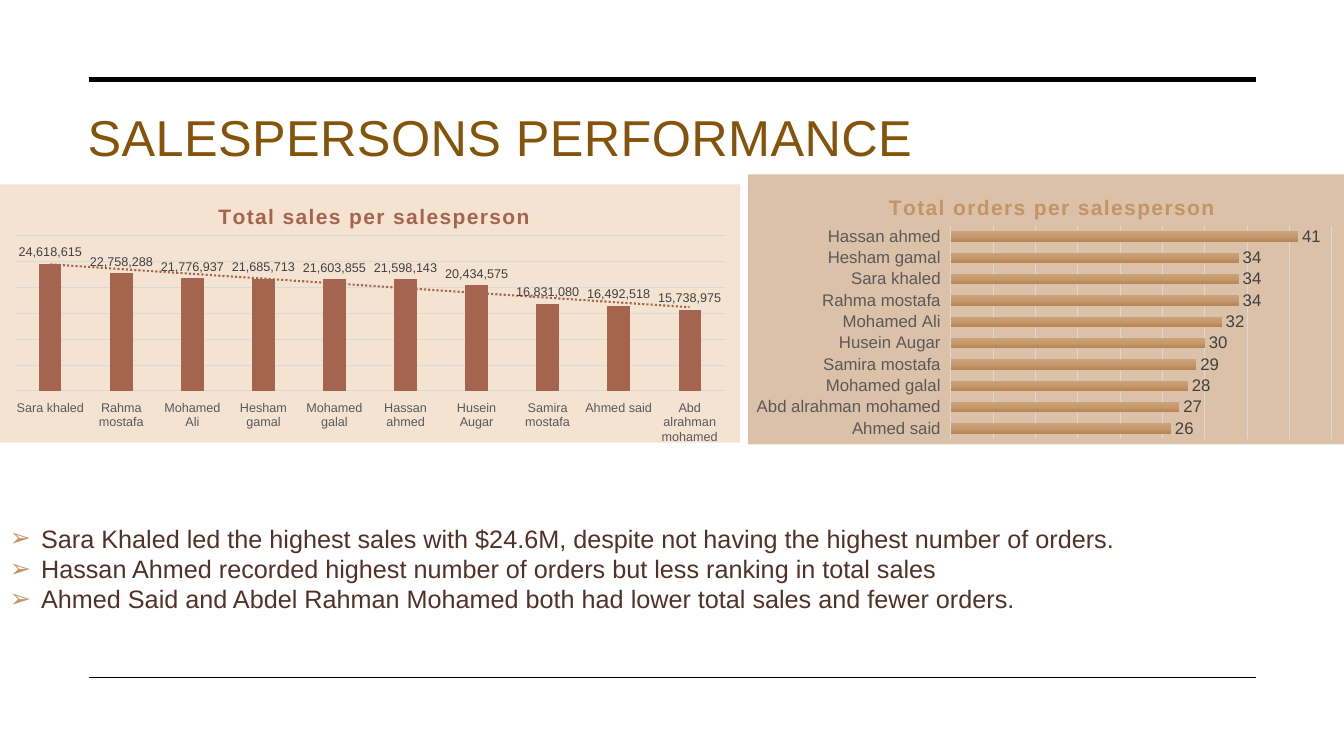
from lxml import etree
from pptx import Presentation
from pptx.chart.data import CategoryChartData
from pptx.dml.color import RGBColor
from pptx.enum.chart import XL_CHART_TYPE, XL_LABEL_POSITION, XL_TICK_LABEL_POSITION, XL_TICK_MARK
from pptx.enum.shapes import MSO_CONNECTOR
from pptx.enum.text import MSO_ANCHOR
from pptx.oxml import parse_xml
from pptx.oxml.ns import qn
from pptx.util import Inches, Pt

COLUMN = XL_CHART_TYPE.COLUMN_CLUSTERED
BAR = XL_CHART_TYPE.BAR_CLUSTERED
OUTSIDE_END = XL_LABEL_POSITION.OUTSIDE_END
LOW_LABELS = XL_TICK_LABEL_POSITION.LOW
NO_TICK = XL_TICK_MARK.NONE
STRAIGHT = MSO_CONNECTOR.STRAIGHT
TOP = MSO_ANCHOR.TOP

NAMESPACES = (
    'xmlns:a="http://schemas.openxmlformats.org/drawingml/2006/main" '
    'xmlns:c="http://schemas.openxmlformats.org/drawingml/2006/chart"'
)
FONT = "Arial"
GRID = "D9D9D9"
BROWN = "A5644E"
TAN = "C39465"
SALES = {
    "Sara khaled": 24618615, "Rahma mostafa": 22758288, "Mohamed Ali": 21776937,
    "Hesham gamal": 21685713, "Mohamed galal": 21603855, "Hassan ahmed": 21598143,
    "Husein Augar": 20434575, "Samira mostafa": 16831080, "Ahmed said": 16492518,
    "Abd alrahman mohamed": 15738975,
}
ORDERS = {
    "Ahmed said": 26, "Abd alrahman mohamed": 27, "Mohamed galal": 28,
    "Samira mostafa": 29, "Husein Augar": 30, "Mohamed Ali": 32,
    "Rahma mostafa": 34, "Sara khaled": 34, "Hesham gamal": 34, "Hassan ahmed": 41,
}
FINDINGS = [
    "Sara Khaled led the highest sales with $24.6M, despite not having the highest number of orders.",
    "Hassan Ahmed recorded highest number of orders but less ranking in total sales",
    "Ahmed Said and Abdel Rahman Mohamed both had lower total sales and fewer orders.",
]


def rgb(value):
    """Return a colour from a hex string."""
    return RGBColor.from_string(value)


def xml(markup):
    """Parse one drawing or chart element, adding its namespaces."""
    name, rest = markup[1:].split(">", 1)
    closing = "/" if name.endswith("/") else ""
    return parse_xml(f"<{name.rstrip('/')} {NAMESPACES}{closing}>{rest}")


def style_font(font, size, color, bold=False):
    """Set typeface, size, colour and weight."""
    font.name, font.size, font.bold = FONT, Pt(size), bold
    font.color.rgb = rgb(color)


def write(paragraph, text, *, size, color, bold=False, spacing=0):
    """Add a formatted run with letter spacing in points."""
    run = paragraph.add_run()
    run.text = text
    style_font(run.font, size, color, bold)
    if spacing:
        run.font._element.set("spc", str(round(spacing * 100)))


def add_text_box(slide, left, top, width, height):
    """Add a wrapping, top-anchored text box and return its frame."""
    shape = slide.shapes.add_textbox(Inches(left), Inches(top), Inches(width), Inches(height))
    shape.text_frame.word_wrap = True
    shape.text_frame.vertical_anchor = TOP
    return shape.text_frame


def add_rule(slide, y, weight):
    """Add a black horizontal rule."""
    line = slide.shapes.add_connector(STRAIGHT, Inches(0.88), Inches(y), Inches(12.46), Inches(y))
    line.line.color.rgb = rgb("000000")
    line.line.width = Pt(weight)
    etree.SubElement(line._element.spPr, qn("a:effectLst"))


def set_bullet(paragraph, color):
    """Give a paragraph a coloured arrow bullet and hanging indent."""
    properties = paragraph._p.get_or_add_pPr()
    indent = Inches(0.31)
    properties.set("marL", str(indent))
    properties.set("indent", str(-indent))
    properties.append(xml(f'<a:buClr><a:srgbClr val="{color}"/></a:buClr>'))
    properties.append(xml('<a:buFont typeface="Wingdings"/>'.replace("Wingdings", FONT)))
    properties.append(xml('<a:buChar char="➢"/>'))


def set_layout(parent, index, **fractions):
    """Place a chart part by fractions of the chart area."""
    for old in parent.findall(qn("c:layout")):
        parent.remove(old)
    target = '<c:layoutTarget val="inner"/>' if "w" in fractions else ""
    modes = '<c:xMode val="edge"/><c:yMode val="edge"/>'
    sizes = "".join(f'<c:{key} val="{value}"/>' for key, value in fractions.items())
    layout = f"<c:layout><c:manualLayout>{target}{modes}{sizes}</c:manualLayout></c:layout>"
    parent.insert(index, xml(layout))


def add_chart(slide, kind, box, data, *, title, title_color, title_x, background, plot_box,
              gap, overlap, maximum, unit, axis_size, label_size, number_format):
    """Add a single-series chart and return it."""
    chart_data = CategoryChartData()
    chart_data.categories = list(data)
    chart_data.add_series("Series 1", list(data.values()))
    chart = slide.shapes.add_chart(kind, *map(Inches, box), chart_data).chart
    chart.has_legend = False
    style_font(chart.font, 10, "000000")
    chart.has_title = True
    write(chart.chart_title.text_frame.paragraphs[0], title,
          size=15, color=title_color, bold=True, spacing=1)
    set_layout(chart.chart_title._element, 1, x=title_x, y=0.06)
    set_layout(chart._chartSpace.chart.plotArea, 0, **dict(zip("xywh", plot_box)))
    fill = xml(f'<c:spPr><a:solidFill><a:srgbClr val="{background}"/></a:solidFill>'
               "<a:ln><a:noFill/></a:ln></c:spPr>")
    chart._chartSpace.chart.addnext(fill)

    category_axis = chart.category_axis
    category_axis.major_tick_mark = category_axis.minor_tick_mark = NO_TICK
    category_axis.tick_label_position = LOW_LABELS
    style_font(category_axis.tick_labels.font, axis_size, "595959")
    category_axis.format.line.color.rgb = rgb(GRID)
    category_axis.format.line.width = Pt(0.75)
    value_axis = chart.value_axis
    value_axis.visible = False
    value_axis.minimum_scale, value_axis.maximum_scale = 0, maximum
    value_axis.major_unit = unit
    value_axis.has_major_gridlines = True
    value_axis.major_gridlines.format.line.color.rgb = rgb(GRID)
    value_axis.major_gridlines.format.line.width = Pt(0.75)

    plot = chart.plots[0]
    plot.gap_width, plot.overlap, plot.vary_by_categories = gap, overlap, False
    labels = plot.series[0].data_labels
    labels.show_value = True
    labels.position = OUTSIDE_END
    labels.number_format, labels.number_format_is_linked = number_format, False
    style_font(labels.font, label_size, "404040")
    return chart


def add_trend_line(series, color):
    """Add a dotted linear trend line to a series."""
    series._element.find(qn("c:cat")).addprevious(xml(
        '<c:trendline><c:spPr><a:ln w="19050"><a:solidFill>'
        f'<a:srgbClr val="{color}"/></a:solidFill><a:prstDash val="sysDot"/></a:ln></c:spPr>'
        '<c:trendlineType val="linear"/><c:dispRSqr val="0"/><c:dispEq val="0"/></c:trendline>'))


def fill_gradient(series, stops):
    """Fill a series with a vertical gradient of (percent, colour) stops."""
    marks = "".join(f'<a:gs pos="{percent * 1000}"><a:srgbClr val="{color}"/></a:gs>'
                    for percent, color in stops)
    series._element.get_or_add_spPr().insert(0, xml(
        f'<a:gradFill><a:gsLst>{marks}</a:gsLst><a:lin ang="5400000" scaled="0"/></a:gradFill>'))


def main():
    """Build the salespersons slide."""
    presentation = Presentation()
    presentation.slide_width, presentation.slide_height = Inches(13.33), Inches(7.5)
    slide = presentation.slides.add_slide(presentation.slide_layouts[6])
    add_rule(slide, 0.79, 3.5)
    add_rule(slide, 6.72, 1)
    heading = add_text_box(slide, 0.77, 1, 11.69, 1.43)
    write(heading.paragraphs[0], "SALESPERSONS PERFORMANCE", size=36, color="85540A", spacing=0.3)

    sales = add_chart(
        slide, COLUMN, (0, 1.83, 7.34, 2.58), SALES, title="Total sales per salesperson",
        title_color=BROWN, title_x=0.29, background="F5E3D1", plot_box=(0.02, 0.2, 0.96, 0.6),
        gap=219, overlap=-27, maximum=30000000, unit=5000000, axis_size=9, label_size=9,
        number_format="#,##0").plots[0].series[0]
    sales.format.fill.solid()
    sales.format.fill.fore_color.rgb = rgb(BROWN)
    add_trend_line(sales, BROWN)

    orders = add_chart(
        slide, BAR, (7.42, 1.73, 5.91, 2.68), ORDERS, title="Total orders per salesperson",
        title_color=TAN, title_x=0.23, background="DBC1A7", plot_box=(0.34, 0.19, 0.64, 0.79),
        gap=115, overlap=-20, maximum=45, unit=5, axis_size=12, label_size=12,
        number_format="General").plots[0].series[0]
    fill_gradient(orders, [(0, "CAA37F"), (50, "C79869"), (100, "B68758")])

    findings = add_text_box(slide, 0, 5.14, 13.33, 1.01)
    for index, finding in enumerate(FINDINGS):
        paragraph = findings.add_paragraph() if index else findings.paragraphs[0]
        set_bullet(paragraph, TAN)
        write(paragraph, finding, size=18, color="523227")
    presentation.save("out.pptx")


if __name__ == "__main__":
    main()
